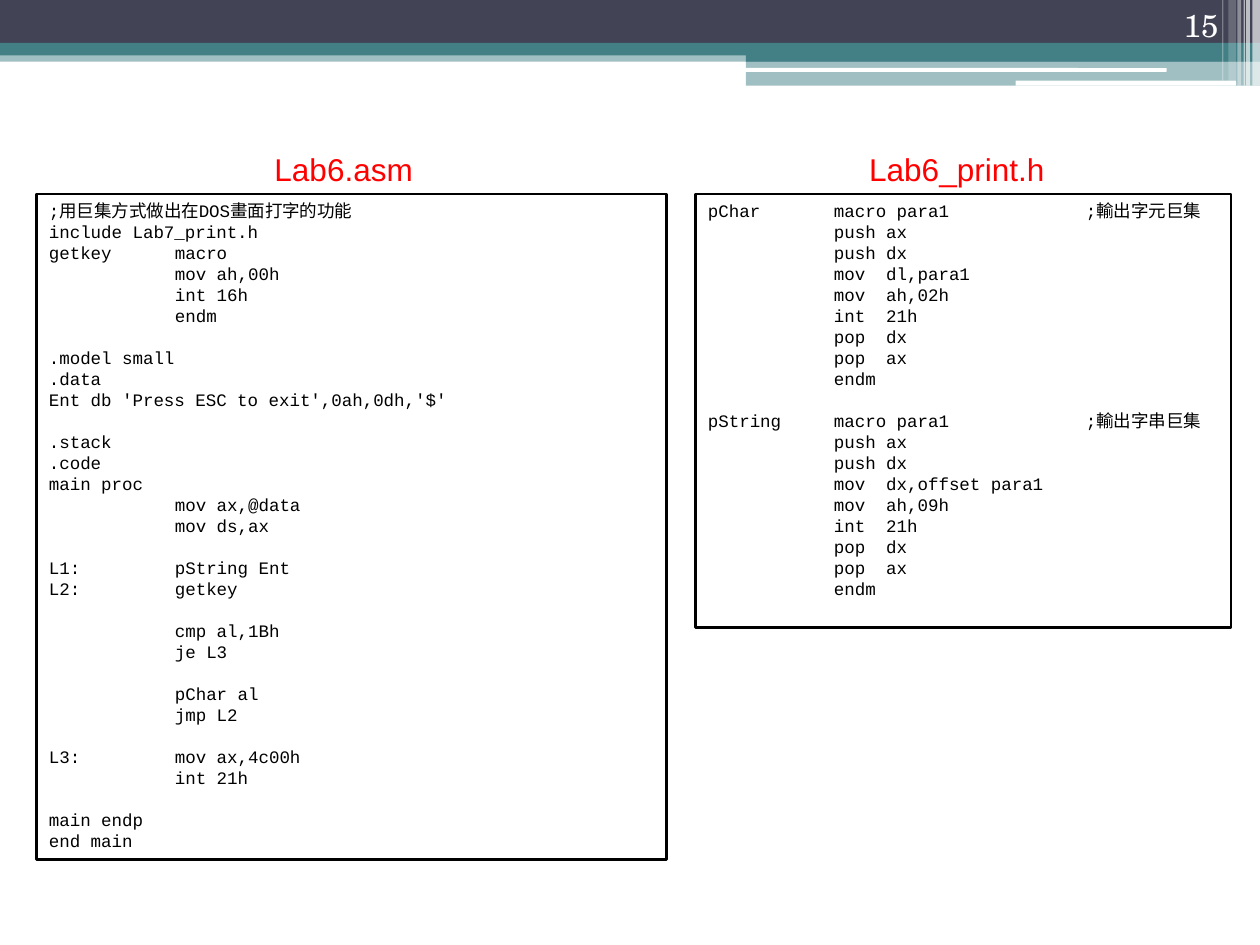
from lxml.etree import SubElement
from pptx import Presentation
from pptx.dml.color import RGBColor
from pptx.enum.shapes import MSO_SHAPE as Shape
from pptx.enum.text import MSO_ANCHOR as Anchor, PP_ALIGN as Align
from pptx.oxml.ns import qn
from pptx.util import Inches, Pt

WHITE = RGBColor(0xFF, 0xFF, 0xFF)
BLACK = RGBColor(0x00, 0x00, 0x00)
RED = RGBColor(0xFF, 0x00, 0x00)
NAVY = RGBColor(0x42, 0x44, 0x56)
TEAL = RGBColor(0x43, 0x80, 0x86)

LINE_PITCH = Pt(12)
TAB_STOPS = (1, 2, 3)

MAIN_CODE = """;用巨集方式做出在DOS畫面打字的功能
include Lab7_print.h
getkey\tmacro
\tmov ah,00h
\tint 16h
\tendm

.model small
.data
Ent db 'Press ESC to exit',0ah,0dh,'$'

.stack
.code
main proc
\tmov ax,@data
\tmov ds,ax

L1:\tpString Ent
L2:\tgetkey

\tcmp al,1Bh
\tje L3

\tpChar al
\tjmp L2

L3:\tmov ax,4c00h
\tint 21h

main endp
end main"""

PRINT_CODE = """pChar\tmacro para1\t\t;輸出字元巨集
\tpush ax
\tpush dx
\tmov  dl,para1
\tmov  ah,02h
\tint  21h
\tpop  dx
\tpop  ax
\tendm

pString\tmacro para1\t\t;輸出字串巨集
\tpush ax
\tpush dx
\tmov  dx,offset para1
\tmov  ah,09h
\tint  21h
\tpop  dx
\tpop  ax
\tendm"""


def add_block(page, box, color, opacity=100, kind=Shape.RECTANGLE):
    block = page.shapes.add_shape(kind, *(Inches(n) for n in box))
    block.shadow.inherit = False
    block.fill.solid()
    block.fill.fore_color.rgb = color
    block.line.fill.background()
    if opacity < 100:
        tint = block.fill._xPr.find(qn("a:solidFill"))[0]
        SubElement(tint, qn("a:alpha"), val=str(opacity * 1000))
    return block


def add_span(para, text, size, font, color):
    span = para.add_run()
    span.text = text
    span.font.size = Pt(size)
    span.font.name = font
    span.font.color.rgb = color


def add_label(page, box, text, font, color, align=Align.LEFT, anchor=Anchor.TOP):
    label = page.shapes.add_textbox(*(Inches(n) for n in box))
    frame = label.text_frame
    frame.word_wrap = True
    frame.vertical_anchor = anchor
    para = frame.paragraphs[0]
    para.alignment = align
    add_span(para, text, 18, font, color)


def add_header(page, width):
    add_block(page, (0, 0.4, width, 0.09), TEAL, 50)
    add_block(page, (0, 0, width, 0.34), NAVY)
    add_block(page, (0, 0.34, width, 0.1), TEAL)
    step = 5.92
    add_block(page, (step, 0.39, width - step, 0.1), TEAL)
    add_block(page, (step, 0.48, width - step, 0.2), TEAL, 50)
    for box in ((5.91, 0.54, 3.35, 0.03), (8.06, 0.64, 1.75, 0.04)):
        add_block(page, box, WHITE, kind=Shape.ROUNDED_RECTANGLE)
    stripes = (
        (9.94, 0.06, 0.68, 65),
        (9.89, 0.03, 0.68, 65),
        (9.87, 0.01, 0.68, 60),
        (9.82, 0.03, 0.68, 40),
        (9.75, 0.06, 0.64, 20),
        (9.7, 0.01, 0.64, 30),
    )
    for left, stripe_width, height, opacity in stripes:
        add_block(page, (left, 0, stripe_width, height), WHITE, opacity)
    add_label(page, (8.94, 0, 0.83, 0.4), "15", "TeX Gyre Schola", WHITE,
              Align.RIGHT, Anchor.BOTTOM)


def add_listing(page, box, code):
    panel = add_block(page, box, WHITE)
    panel.line.color.rgb = BLACK
    panel.line.width = Pt(1.5)
    frame = panel.text_frame
    frame.word_wrap = True
    frame.vertical_anchor = Anchor.TOP
    para = frame.paragraphs[0]
    for group_index, group in enumerate(code.split("\n\n")):
        for line_index, line in enumerate(group.split("\n")):
            if group_index or line_index:
                para = frame.add_paragraph()
            para.alignment = Align.LEFT
            para.line_spacing = LINE_PITCH
            if group_index and not line_index:
                para.space_before = LINE_PITCH
            tabs = SubElement(para._p.get_or_add_pPr(), qn("a:tabLst"))
            for stop in TAB_STOPS:
                SubElement(tabs, qn("a:tab"), pos=str(Inches(stop)), algn="l")
            add_span(para, line, 10, "Courier New", BLACK)


def add_file(page, box, name, name_width, code):
    left, top, width, height = box
    name_height = 0.4
    name_left = left + (width - name_width) / 2
    add_label(page, (name_left, top, name_width, name_height), name, "Arial", RED)
    add_listing(page, (left, top + name_height, width, height - name_height), code)


def main():
    deck = Presentation()
    deck.slide_width = Inches(10)
    deck.slide_height = Inches(7.5)
    page = deck.slides.add_slide(deck.slide_layouts[6])
    add_header(page, 10)
    add_file(page, (0.29, 1.14, 5, 5.68), "Lab6.asm", 1.42, MAIN_CODE)
    add_file(page, (5.52, 1.14, 4.25, 3.84), "Lab6_print.h", 1.69, PRINT_CODE)
    deck.save("out.pptx")


if __name__ == "__main__":
    main()
